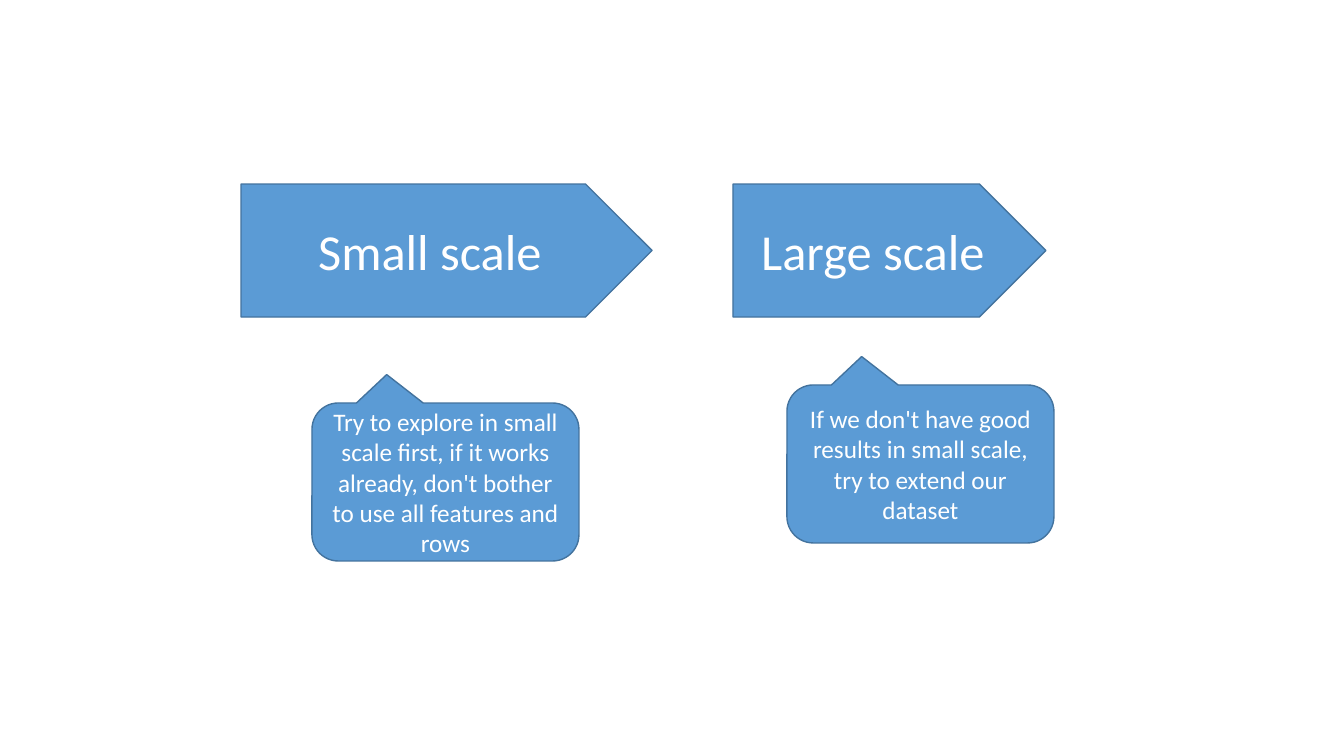
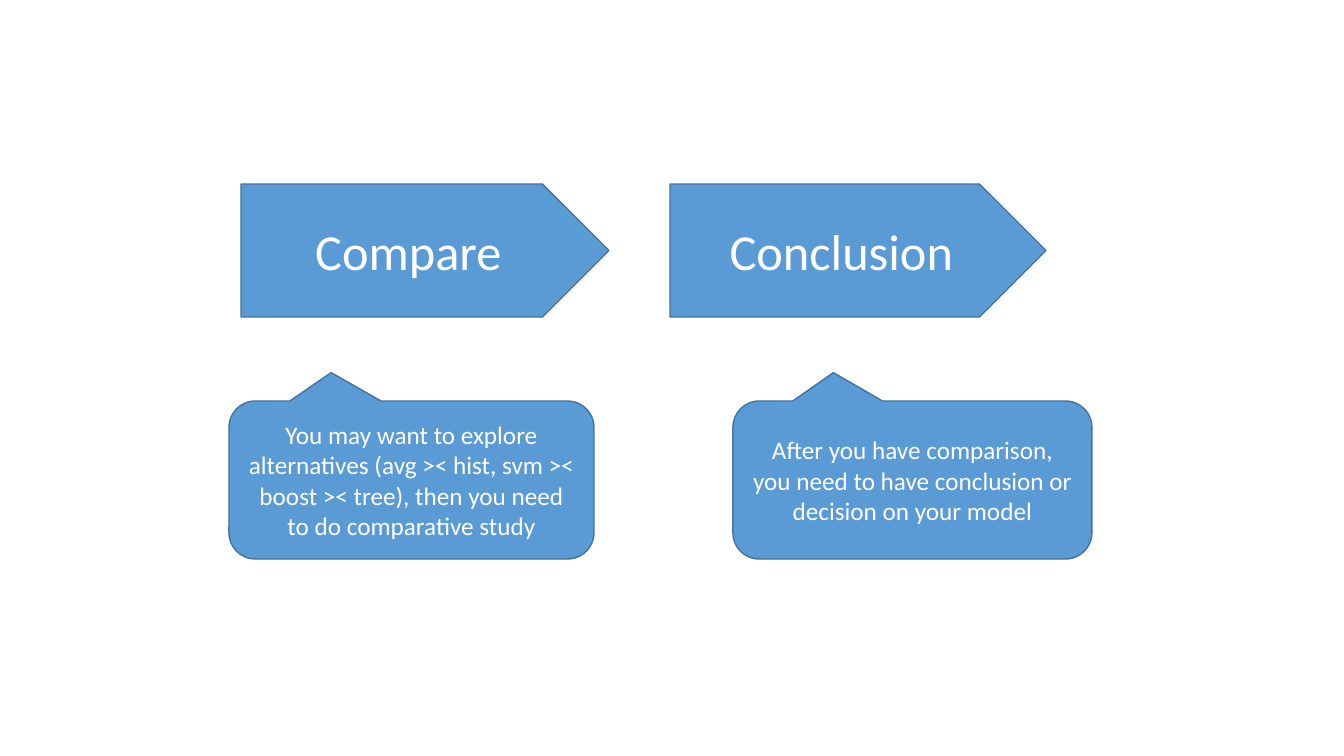
from pptx import Presentation
from pptx.dml.color import RGBColor
from pptx.enum.shapes import MSO_SHAPE as Shape
from pptx.enum.text import MSO_ANCHOR as Anchor, PP_ALIGN as Align
from pptx.util import Pt

EMU_PER_PX = 914400 / 100.8
COLORS = {"fill": "5B9BD5", "outline": "43739E", "text": "FFFFFF"}
FONT = "Calibri"
STAGE_TOP, STAGE_HEIGHT = 184, 133
ADVICE_HEIGHT = 158
POINTER = (-0.22, -0.68)


def px(length):
    return round(length * EMU_PER_PX)


def color(name):
    return RGBColor.from_string(COLORS[name])


class Deck:
    """Holds the shared style and the current slide."""

    def __init__(self):
        self.prs = Presentation()
        self.prs.slide_width, self.prs.slide_height = px(1344), px(756)
        self.slide = None

    def new_slide(self):
        self.slide = self.prs.slides.add_slide(self.prs.slide_layouts[6])

    def block(self, kind, box, text, size):
        shape = self.slide.shapes.add_shape(kind, *map(px, box))
        shape.shadow.inherit = False
        shape.fill.solid()
        shape.fill.fore_color.rgb = color("fill")
        shape.line.color.rgb = color("outline")
        shape.line.width = Pt(1)
        frame = shape.text_frame
        frame.text = text
        frame.word_wrap = True
        frame.vertical_anchor = Anchor.MIDDLE
        paragraph = frame.paragraphs[0]
        paragraph.alignment = Align.CENTER
        font = paragraph.runs[0].font
        font.name, font.size = FONT, Pt(size)
        font.color.rgb = color("text")
        return shape

    def stage(self, left, width, text):
        box = (left, STAGE_TOP, width, STAGE_HEIGHT)
        self.block(Shape.PENTAGON, box, text, 36)

    def advice(self, left, top, width, text):
        box = (left, top, width, ADVICE_HEIGHT)
        callout = self.block(Shape.ROUNDED_RECTANGULAR_CALLOUT, box, text, 18)
        callout.adjustments[0], callout.adjustments[1] = POINTER


# Each slide: stages (left, width, text), then advice (left, top, width, text)
SLIDES = [
    (
        [(241, 411, "Small scale"), (733, 313, "Large scale")],
        [
            (312, 403, 267, "Try to explore in small scale first, if it works already, "
                            "don't bother to use all features and rows"),
            (787, 385, 267, "If we don't have good results in small scale, "
                            "try to extend our dataset"),
        ],
    ),
    (
        [(241, 368, "Compare"), (670, 376, "Conclusion")],
        [
            (229, 401, 365, "You may want to explore alternatives (avg >< hist, "
                            "svm >< boost >< tree), then you need to do comparative study"),
            (733, 401, 359, "After you have comparison, you need to have conclusion "
                            "or decision on your model"),
        ],
    ),
]

# Build the slides
deck = Deck()
for stages, advices in SLIDES:
    deck.new_slide()
    for stage in stages:
        deck.stage(*stage)
    for advice in advices:
        deck.advice(*advice)

deck.prs.save("out.pptx")
